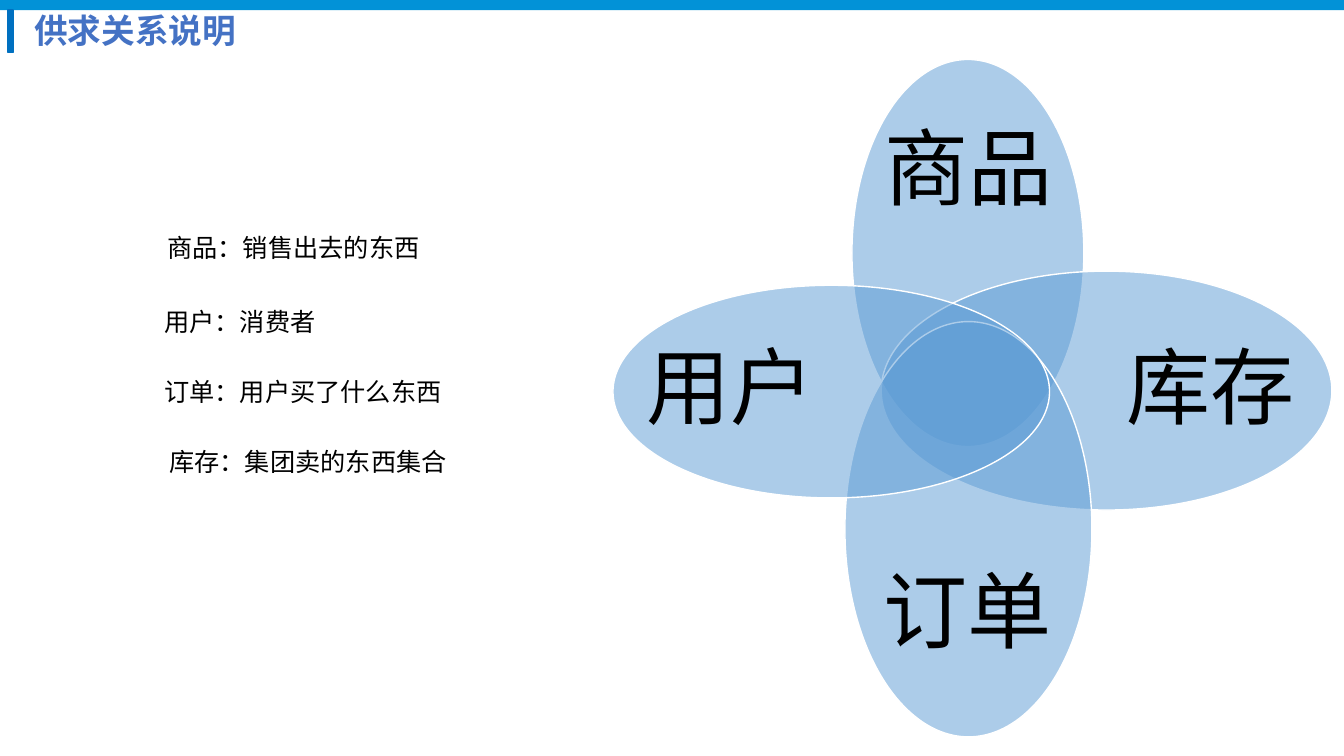
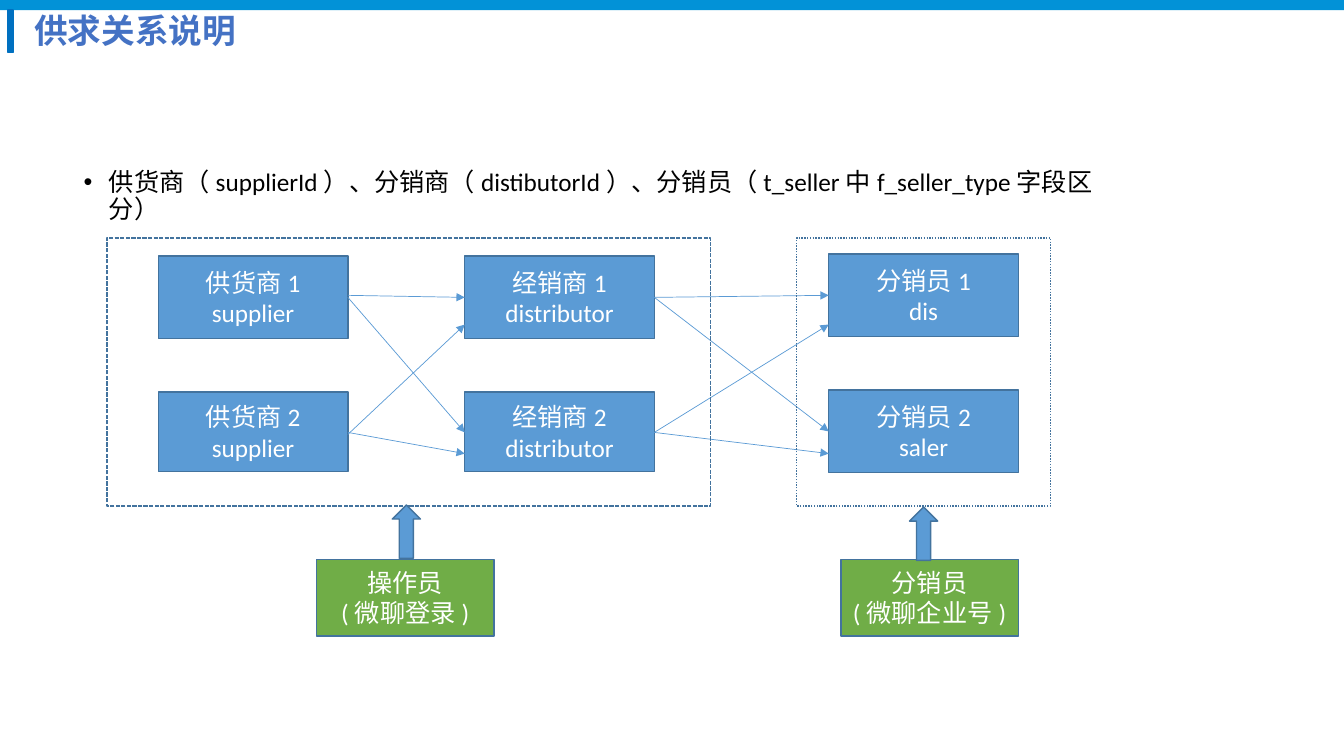
from dataclasses import dataclass
from typing import NamedTuple, Optional

from lxml.etree import SubElement
from pptx import Presentation
from pptx.dml.color import RGBColor
from pptx.enum.dml import MSO_LINE_DASH_STYLE as Dash
from pptx.enum.shapes import MSO_CONNECTOR as Connector, MSO_SHAPE as Shape
from pptx.enum.text import MSO_ANCHOR as Anchor, MSO_AUTO_SIZE as AutoSize, PP_ALIGN as Align
from pptx.oxml.ns import qn
from pptx.util import Emu, Pt

EMU_PER_PX = 9144
FONT = "Calibri"
LIST_FONT = "Noto Sans CJK SC"
COLORS = {
    "band": "0292D7",
    "accent": "0070C0",
    "title": "4472C4",
    "blue": "5B9BD5",
    "outline": "43739E",
    "green": "70AD47",
    "white": "FFFFFF",
    "black": "000000",
}


class Box(NamedTuple):
    left: int
    top: int
    width: int
    height: int


@dataclass(frozen=True)
class Petal:
    label: str
    ellipse: Box
    label_box: Box


@dataclass(frozen=True)
class Definition:
    text: str
    indent: int
    space_before: int


@dataclass(frozen=True)
class Column:
    left: int
    top: int
    heights: tuple[int, int]
    labels: tuple[str, str]


@dataclass(frozen=True)
class Group:
    frame: Box
    dash: Dash
    login: str
    login_left: int
    arrow_left: int
    arrow_top: int


class Link(NamedTuple):
    start: int
    end: int


PETALS = [
    Petal("商品", Box(845, 59, 230, 384), Box(872, 110, 177, 122)),
    Petal("库存", Box(874, 269, 447, 237), Box(1115, 297, 172, 182)),
    Petal("订单", Box(838, 319, 245, 412), Box(866, 545, 188, 131)),
    Petal("用户", Box(608, 283, 433, 211), Box(641, 307, 167, 162)),
]
DEFINITIONS = [
    Definition("商品：销售出去的东西", 3, 0),
    Definition("用户：消费者", 0, 31),
    Definition("订单：用户买了什么东西", 0, 28),
    Definition("库存：集团卖的东西集合", 5, 28),
]
BOX_WIDTH = 188
ROW_PITCH = 135
COLUMNS = [
    Column(157, 254, (82, 79), ("供货商1\nsupplier", "供货商2\nsupplier")),
    Column(461, 254, (82, 79), ("经销商1\ndistributor", "经销商2\ndistributor")),
    Column(822, 252, (82, 82), ("分销员1\ndis", "分销员2\nsaler")),
]
LINKS = [
    [Link(293, 295), Link(295, 429), Link(431, 322), Link(429, 450)],
    [Link(295, 293), Link(295, 428), Link(429, 322), Link(429, 450)],
]
GROUPS = [
    Group(Box(106, 236, 599, 266), Dash.SQUARE_DOT, "操作员\n(微聊登录)", 314, 389, 501),
    Group(Box(790, 236, 252, 266), Dash.ROUND_DOT, "分销员\n(微聊企业号)", 834, 902, 503),
]


def px(length: int) -> Emu:
    return Emu(length * EMU_PER_PX)


def rgb(name: str) -> RGBColor:
    return RGBColor.from_string(COLORS[name])


def place(shape, box: Box) -> None:
    shape.left, shape.top, shape.width, shape.height = map(px, box)


def format_paragraph(paragraph, text: str, size: int, color: str, font: str = FONT,
                     align: Align = Align.LEFT, bold: bool = False) -> None:
    paragraph.text = text
    paragraph.alignment = align
    paragraph.font.name = font
    paragraph.font.size = Pt(size)
    paragraph.font.bold = bold
    paragraph.font.color.rgb = rgb(color)


def set_bullet(paragraph, margin: int, hanging: int, bullet: Optional[str] = None) -> None:
    properties = paragraph._p.get_or_add_pPr()
    properties.set("marL", str(px(margin)))
    properties.set("indent", str(px(-hanging)))
    tag = "a:buChar" if bullet else "a:buNone"
    element = properties.makeelement(qn(tag), {"char": bullet} if bullet else {})
    default_font = properties.find(qn("a:defRPr"))
    default_font.addprevious(element)


def add_shape(slide, kind: Shape, box: Box, fill: Optional[str], line: Optional[str],
              text: str = ""):
    shape = slide.shapes.add_shape(kind, *map(px, box))
    shape.shadow.inherit = False
    if fill:
        shape.fill.solid()
        shape.fill.fore_color.rgb = rgb(fill)
    else:
        shape.fill.background()
    if line:
        shape.line.color.rgb = rgb(line)
        shape.line.width = Pt(1)
    else:
        shape.line.fill.background()
    if text:
        frame = shape.text_frame
        frame.vertical_anchor = Anchor.MIDDLE
        format_paragraph(frame.paragraphs[0], text, 18, "white", align=Align.CENTER)
    return shape


def add_arrow(slide, left: int, right: int, link: Link) -> None:
    arrow = slide.shapes.add_connector(
        Connector.STRAIGHT, px(left), px(link.start), px(right), px(link.end))
    arrow.line.color.rgb = rgb("blue")
    arrow.line.width = Pt(0.5)
    SubElement(arrow.line._get_or_add_ln(), qn("a:tailEnd"), type="triangle")
    SubElement(arrow._element.spPr, qn("a:effectLst"))


def add_petal(slide, petal: Petal) -> None:
    ellipse = add_shape(slide, Shape.OVAL, petal.ellipse, "blue", "white")
    color = ellipse._element.spPr.find(qn("a:solidFill")).find(qn("a:srgbClr"))
    SubElement(color, qn("a:alpha"), val="50000")
    frame = slide.shapes.add_textbox(*map(px, petal.label_box)).text_frame
    frame.word_wrap = True
    frame.vertical_anchor = Anchor.MIDDLE
    frame.margin_left = frame.margin_right = frame.margin_top = frame.margin_bottom = 0
    paragraph = frame.paragraphs[0]
    format_paragraph(paragraph, petal.label, 60, "black", align=Align.CENTER)
    paragraph.line_spacing = 0.9


def add_master_bars(presentation, slide) -> None:
    tree = presentation.slide_master.element.cSld.spTree
    bars = [
        add_shape(slide, Shape.RECTANGLE, Box(0, 0, 1333, 10), "band", None),
        add_shape(slide, Shape.RECTANGLE, Box(8, 10, 5, 42), "accent", "accent"),
    ]
    for number, bar in enumerate(bars, start=101):
        bar._element.nvSpPr.cNvPr.set("id", str(number))
        tree.append(bar._element)


def add_titled_slide(presentation, title: str):
    slide = presentation.slides.add_slide(presentation.slide_layouts[1])
    place(slide.shapes.title, Box(32, 7, 206, 45))
    frame = slide.shapes.title.text_frame
    frame.word_wrap = False
    frame.auto_size = AutoSize.NONE
    frame.vertical_anchor = Anchor.MIDDLE
    frame.margin_left = frame.margin_right = frame.margin_top = frame.margin_bottom = px(2)
    format_paragraph(frame.paragraphs[0], title, 24, "title", bold=True)
    return slide


def place_body(slide, box: Box):
    body = slide.placeholders[1]
    place(body, box)
    body.text_frame.auto_size = AutoSize.NONE
    body.text_frame.vertical_anchor = Anchor.TOP
    return body.text_frame


def build_concepts(slide) -> None:
    frame = place_body(slide, Box(153, 225, 340, 260))
    for index, definition in enumerate(DEFINITIONS):
        paragraph = frame.add_paragraph() if index else frame.paragraphs[0]
        format_paragraph(paragraph, definition.text, 18, "black", LIST_FONT)
        paragraph.space_before = Pt(definition.space_before)
        paragraph.line_spacing = Pt(22)
        set_bullet(paragraph, definition.indent, 0)
    for petal in PETALS:
        add_petal(slide, petal)


def build_supply_chain(slide) -> None:
    paragraph = place_body(slide, Box(73, 163, 1055, 469)).paragraphs[0]
    format_paragraph(
        paragraph,
        "供货商（supplierId）、分销商（distibutorId）、分销员（t_seller中f_seller_type字段区分）",
        18, "black")
    paragraph.line_spacing = 0.9
    paragraph.space_before = Pt(10)
    set_bullet(paragraph, 25, 25, "•")

    for column in COLUMNS:
        for row, (label, height) in enumerate(zip(column.labels, column.heights)):
            box = Box(column.left, column.top + row * ROW_PITCH, BOX_WIDTH, height)
            add_shape(slide, Shape.RECTANGLE, box, "blue", "outline", label)
    for source, target, links in zip(COLUMNS, COLUMNS[1:], LINKS):
        for link in links:
            add_arrow(slide, source.left + BOX_WIDTH, target.left, link)
    for group in GROUPS:
        frame = add_shape(slide, Shape.RECTANGLE, group.frame, None, "outline")
        frame.line.dash_style = group.dash
        login_box = Box(group.login_left, 555, 176, 76)
        add_shape(slide, Shape.RECTANGLE, login_box, "green", "outline", group.login)
        arrow_box = Box(group.arrow_left, group.arrow_top, 28, 53)
        add_shape(slide, Shape.UP_ARROW, arrow_box, "blue", "outline")


def main() -> None:
    presentation = Presentation()
    presentation.slide_width, presentation.slide_height = px(1333), px(750)
    for number, build in enumerate((build_concepts, build_supply_chain)):
        slide = add_titled_slide(presentation, "供求关系说明")
        if number == 0:
            add_master_bars(presentation, slide)
        build(slide)
    presentation.save("out.pptx")


if __name__ == "__main__":
    main()
